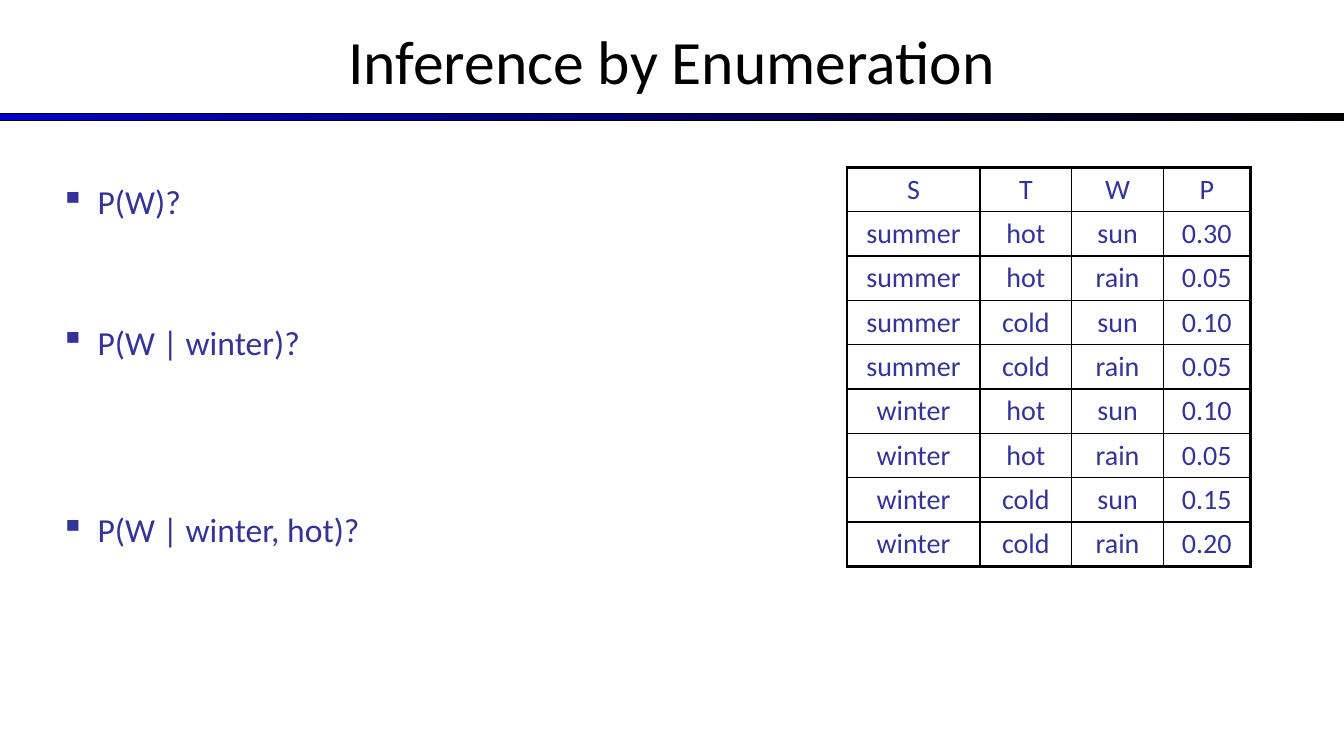
"""Build the slide on inference by enumeration."""
from lxml.etree import SubElement
from pptx import Presentation
from pptx.dml.color import RGBColor as RGB
from pptx.enum.shapes import MSO_SHAPE as Shape
from pptx.enum.text import MSO_ANCHOR as Anchor, PP_ALIGN as Align
from pptx.oxml.ns import qn
from pptx.util import Inches, Pt

TITLE = "Inference by Enumeration"
QUERIES = [("P(W)?", 0), ("P(W | winter)?", 71.4), ("P(W | winter, hot)?", 105)]
JOINT = [
    ("S", "T", "W", "P"),
    ("summer", "hot", "sun", "0.30"),
    ("summer", "hot", "rain", "0.05"),
    ("summer", "cold", "sun", "0.10"),
    ("summer", "cold", "rain", "0.05"),
    ("winter", "hot", "sun", "0.10"),
    ("winter", "hot", "rain", "0.05"),
    ("winter", "cold", "sun", "0.15"),
    ("winter", "cold", "rain", "0.20"),
]
COL_WIDTHS = [1.32, 0.91, 0.91, 0.86]
ROW_HEIGHT = 0.44
THEME = {
    "font": "Calibri", "title": "000000", "text": "333399", "border": "000000",
    "bar": ("0000CC", "000000"), "title_size": 44, "query_size": 24,
    "cell_size": 20, "inner": 1, "outer": 2.25,
}


def add_run(p, text, size, color):
    r = p.add_run()
    r.text = text
    r.font.name, r.font.size = THEME["font"], Pt(size)
    r.font.color.rgb = RGB.from_string(color)


def add_text_box(s, *box):
    tf = s.shapes.add_textbox(*map(Inches, box)).text_frame
    tf.word_wrap = True
    return tf


def add_bar(s):
    sp = s.shapes.add_shape(Shape.RECTANGLE, 0, Inches(1.13), Inches(13.33), Inches(0.07))
    sp.shadow.inherit = False
    sp.fill.gradient()
    sp.fill.gradient_angle = 0
    for stop, color in zip(sp.fill.gradient_stops, THEME["bar"]):
        stop.color.rgb = RGB.from_string(color)
    sp.line.color.rgb = RGB.from_string(THEME["border"])
    sp.line.width = Pt(0.75)


def add_title(s):
    tf = add_text_box(s, 0, -0.03, 13.33, 1.25)
    tf.vertical_anchor = Anchor.MIDDLE
    p = tf.paragraphs[0]
    p.alignment = Align.CENTER
    add_run(p, TITLE, THEME["title_size"], THEME["title"])


def add_queries(s):
    tf = add_text_box(s, 0.5, 1.75, 4.42, 4.95)
    for i, (query, gap) in enumerate(QUERIES):
        p = tf.add_paragraph() if i else tf.paragraphs[0]
        if gap:
            p.space_before = Pt(gap)
        pPr = p._p.get_or_add_pPr()
        pPr.set("marL", str(Inches(0.37)))
        pPr.set("indent", str(-Inches(0.37)))
        SubElement(SubElement(pPr, qn("a:buClr")), qn("a:srgbClr"), val=THEME["text"])
        SubElement(pPr, qn("a:buChar"), char="▪")
        add_run(p, query, THEME["query_size"], THEME["text"])


def set_borders(cell, outer_sides):
    tcPr = cell._tc.get_or_add_tcPr()
    for i, side in enumerate("LRTB"):
        width = THEME["outer" if side in outer_sides else "inner"]
        ln = SubElement(tcPr, qn(f"a:ln{side}"), w=str(Pt(width)))
        SubElement(SubElement(ln, qn("a:solidFill")), qn("a:srgbClr"), val=THEME["border"])
        tcPr.insert(i, ln)


def add_joint_table(s):
    rows, cols = len(JOINT), len(COL_WIDTHS)
    table = s.shapes.add_table(rows, cols, Inches(8.4), Inches(1.66),
                               Inches(sum(COL_WIDTHS)), Inches(rows * ROW_HEIGHT)).table
    table.first_row = table.horz_banding = False
    for col, width in zip(table.columns, COL_WIDTHS):
        col.width = Inches(width)
    for r, values in enumerate(JOINT):
        table.rows[r].height = Inches(ROW_HEIGHT)
        for c, value in enumerate(values):
            cell = table.cell(r, c)
            cell.fill.background()
            edges = {"L": c == 0, "R": c == cols - 1, "T": r == 0, "B": r == rows - 1}
            set_borders(cell, [side for side, outer in edges.items() if outer])
            p = cell.text_frame.paragraphs[0]
            p.alignment = Align.CENTER
            add_run(p, value, THEME["cell_size"], THEME["text"])


def main():
    prs = Presentation()
    prs.slide_width, prs.slide_height = Inches(13.33), Inches(7.5)
    s = prs.slides.add_slide(prs.slide_layouts[6])
    add_bar(s)
    add_title(s)
    add_queries(s)
    add_joint_table(s)
    prs.save("out.pptx")


if __name__ == "__main__":
    main()
